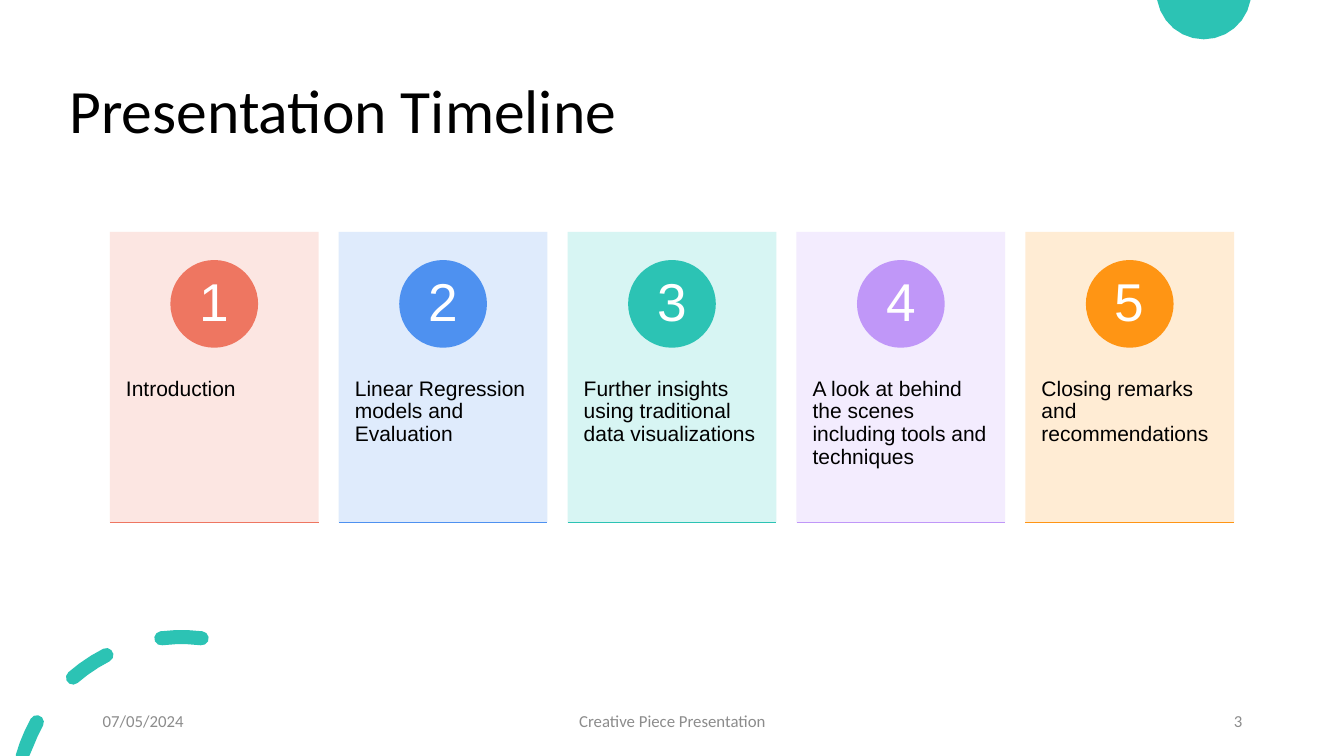
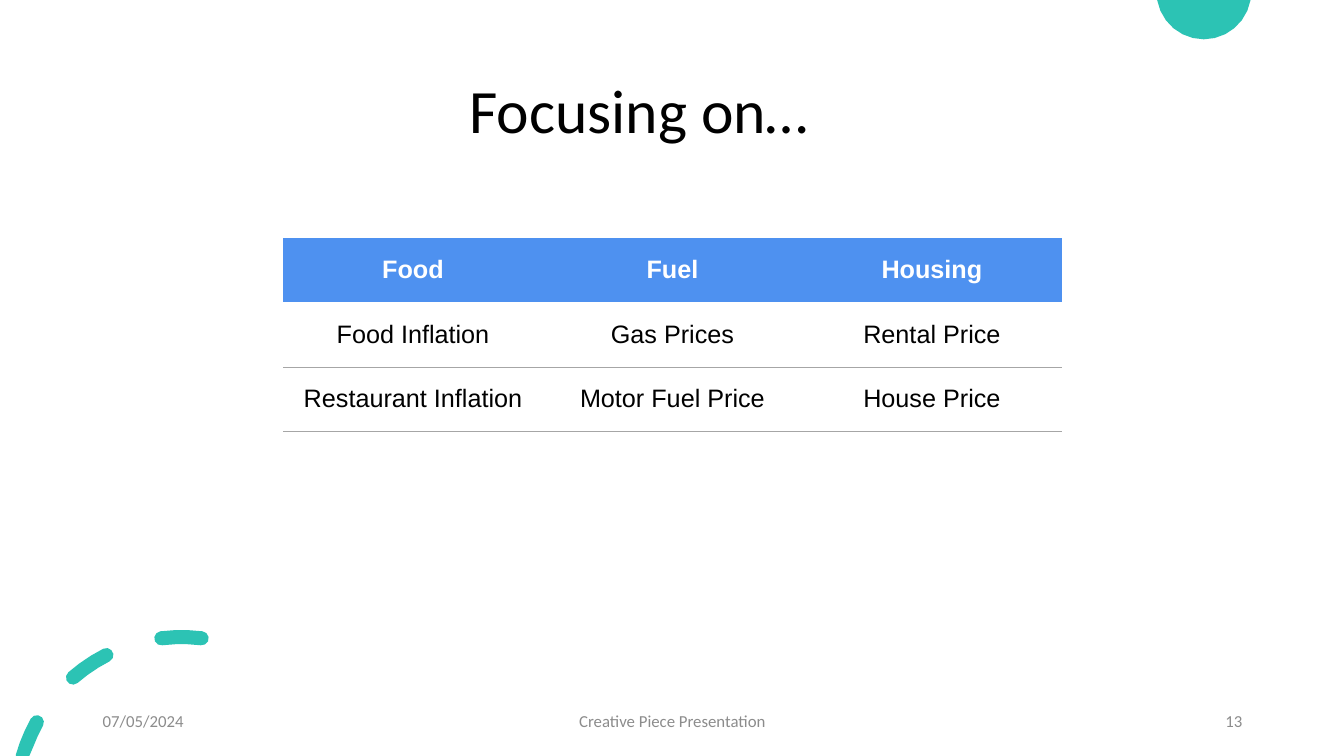
"""Build a presentation timeline slide and a focus-area table slide."""
from math import cos, radians, sin
from typing import NamedTuple

from lxml.etree import SubElement
from pptx import Presentation
from pptx.dml.color import RGBColor
from pptx.enum.shapes import MSO_CONNECTOR as Connector, MSO_SHAPE as Shape
from pptx.enum.text import MSO_ANCHOR as Anchor, MSO_AUTO_SIZE as AutoSize, PP_ALIGN as Align
from pptx.oxml import parse_xml
from pptx.oxml.ns import nsdecls, qn
from pptx.shapes.autoshape import Shape as DrawnShape
from pptx.slide import Slide
from pptx.text.text import TextFrame
from pptx.util import Emu, Pt

PX = 9144
SLIDE_W, SLIDE_H = 1333, 750
HEADING_FONT, BODY_FONT = "Calibri", "Arial"
NO_GRID_STYLE = "{2D5ABB26-0587-4C30-8999-92F81FD0307C}"
COLORS = {
    "black": "000000", "white": "FFFFFF", "footer": "8C8C8C", "rule": "A6A6A6",
    "coral": "EE7661", "coral_tint": "FCE4DF",
    "blue": "4E91F0", "blue_tint": "DCE9FC",
    "teal": "2CC3B4", "teal_tint": "D3F5F2",
    "violet": "C097F8", "violet_tint": "F2EAFE",
    "orange": "FF9514", "orange_tint": "FFEAD0",
}


class Box(NamedTuple):
    """A rectangle in px."""
    left: int
    top: int
    width: int
    height: int

    def emu(self) -> tuple[Emu, ...]:
        """Return the rectangle in EMU."""
        return tuple(Emu(length * PX) for length in self)


class TextStyle(NamedTuple):
    """How a piece of text looks."""
    size: int
    font: str = BODY_FONT
    color: str = "black"
    align: Align = Align.LEFT
    spacing: float = 1.0
    bold: bool = False


class Step(NamedTuple):
    """One stage of the timeline."""
    caption: str
    color: str


class FooterPart(NamedTuple):
    """One of the three footer fields."""
    text: str
    box: Box
    align: Align


TITLE_BOX = Box(59, 40, 1150, 145)
CARD, CARD_PITCH = Box(109, 230, 207, 288), 227
CAPTION_TOP, CAPTION_HEIGHT = 339, 173
BADGE_TOP, BADGE_SIZE = 258, 87
TABLE_BOX = Box(281, 236, 772, 192)
CAPTION_STYLE = TextStyle(15, spacing=0.9)
BADGE_STYLE = TextStyle(38, color="white", align=Align.CENTER, spacing=0.9)
HEADER_STYLE = TextStyle(18, color="white", align=Align.CENTER, bold=True)
CELL_STYLE = TextStyle(18, align=Align.CENTER)

STEPS = [
    Step("Introduction", "coral"),
    Step("Linear Regression models and Evaluation", "blue"),
    Step("Further insights\nusing traditional data visualizations", "teal"),
    Step("A look at behind the scenes including tools and techniques", "violet"),
    Step("Closing remarks and recommendations", "orange"),
]
FOCUS_ROWS = [
    ["Food", "Fuel", "Housing"],
    ["Food Inflation", "Gas Prices", "Rental Price"],
    ["Restaurant Inflation", "Motor Fuel Price", "House Price"],
]


def rgb(color: str) -> RGBColor:
    """Look up a named colour."""
    return RGBColor.from_string(COLORS[color])


def write(frame: TextFrame, text: str, style: TextStyle) -> None:
    """Fill a text frame with one formatted paragraph."""
    paragraph = frame.paragraphs[0]
    paragraph.text = text
    paragraph.alignment = style.align
    paragraph.line_spacing = style.spacing
    for run in paragraph.runs:
        run.font.size = Pt(style.size)
        run.font.name = style.font
        run.font.bold = style.bold
        run.font.color.rgb = rgb(style.color)


def set_insets(frame: TextFrame, across: int, down: int) -> None:
    """Set the inner margins of a text frame."""
    frame.margin_left = frame.margin_right = Emu(across * PX)
    frame.margin_top = frame.margin_bottom = Emu(down * PX)


def add_text(slide: Slide, box: Box, text: str, style: TextStyle,
             anchor: Anchor = Anchor.MIDDLE) -> TextFrame:
    """Add a wrapping text box of fixed size."""
    frame = slide.shapes.add_textbox(*box.emu()).text_frame
    frame.auto_size = AutoSize.NONE
    frame.word_wrap = True
    frame.vertical_anchor = anchor
    write(frame, text, style)
    return frame


def paint(shape: DrawnShape, color: str) -> None:
    """Give a shape a flat fill without outline or shadow."""
    shape.shadow.inherit = False
    shape.fill.solid()
    shape.fill.fore_color.rgb = rgb(color)
    shape.line.fill.background()


def arc(center: tuple[float, float], radius: int, start: float, end: float,
        steps: int) -> list[tuple[float, float]]:
    """Sample an arc, with angles in degrees clockwise from the top."""
    angles = [radians(start + (end - start) * i / steps) for i in range(steps + 1)]
    return [(center[0] + radius * sin(a), center[1] - radius * cos(a)) for a in angles]


def dash(start: float, end: float) -> list[tuple[float, float]]:
    """Outline a round-ended dash on the corner ring."""
    center, radius, half = (180, 796), 164, 7
    tail, head = arc(center, radius, start, end, 1)
    return (arc(center, radius + half, start, end, 3)
            + arc(head, half, end, end + 180, 5)[1:-1]
            + arc(center, radius - half, end, start, 3)
            + arc(tail, half, start + 180, start + 360, 5)[1:-1])


def add_outline(slide: Slide, contours: list[list[tuple[float, float]]]) -> DrawnShape:
    """Draw teal contours, cut off at the slide's top and bottom edges."""
    cut = [[(round(x * PX), round(min(max(y, 0), SLIDE_H) * PX)) for x, y in contour]
           for contour in contours]
    builder = slide.shapes.build_freeform(*cut[0][0])
    for index, contour in enumerate(cut):
        if index:
            builder.move_to(*contour[0])
        builder.add_line_segments(contour[1:], close=True)
    outline = builder.convert_to_shape()
    paint(outline, "teal")
    return outline


def decorate_layout(slide: Slide) -> None:
    """Put the corner decoration on the layout that the slides share."""
    layout = slide.slide_layout
    for placeholder in list(layout.placeholders):
        layout.shapes.element.remove(placeholder.element)
    corners = [
        add_outline(slide, [arc((1194, -8), 47, 100, 260, 12)]),
        add_outline(slide, [dash(-74, -61), dash(-41, -27), dash(-7, 7)]),
    ]
    for corner in corners:
        layout.shapes.element.append(corner.element)


def add_frame(deck, title: str, number: int, align: Align) -> Slide:
    """Add a slide with its title and footer."""
    slide = deck.slides.add_slide(deck.slide_layouts[6])
    add_text(slide, TITLE_BOX, title,
             TextStyle(44, HEADING_FONT, align=align, spacing=0.9))
    for part in (
        FooterPart("07/05/2024", Box(92, 695, 300, 40), Align.LEFT),
        FooterPart("Creative Piece Presentation", Box(442, 695, 450, 40), Align.CENTER),
        FooterPart(str(number), Box(942, 695, 300, 40), Align.RIGHT),
    ):
        add_text(slide, part.box, part.text,
                 TextStyle(12, HEADING_FONT, "footer", part.align))
    return slide


def add_step(slide: Slide, index: int, step: Step) -> None:
    """Draw one timeline card with its numbered badge."""
    box = CARD._replace(left=CARD.left + index * CARD_PITCH)
    card = slide.shapes.add_shape(Shape.RECTANGLE, *box.emu())
    paint(card, f"{step.color}_tint")
    tint = card.element.spPr.find(f"{qn('a:solidFill')}/{qn('a:srgbClr')}")
    SubElement(tint, qn("a:alpha"), val="90000")

    caption = add_text(slide, box._replace(top=CAPTION_TOP, height=CAPTION_HEIGHT),
                       step.caption, CAPTION_STYLE, Anchor.TOP)
    set_insets(caption, 16, 36)

    badge_box = Box(box.left + (box.width - BADGE_SIZE) // 2, BADGE_TOP,
                    BADGE_SIZE, BADGE_SIZE)
    badge = slide.shapes.add_shape(Shape.OVAL, *badge_box.emu())
    paint(badge, step.color)
    set_insets(badge.text_frame, 0, 0)
    badge.text_frame.vertical_anchor = Anchor.MIDDLE
    write(badge.text_frame, str(index + 1), BADGE_STYLE)

    left, top, width, height = box.emu()
    base = slide.shapes.add_connector(Connector.STRAIGHT, left, top + height,
                                      left + width, top + height)
    base.line.color.rgb = rgb(step.color)
    base.line.width = Pt(0.75)
    SubElement(base.element.spPr, qn("a:effectLst"))


def add_focus_table(slide: Slide) -> None:
    """Add the table of focus areas."""
    holder = slide.shapes.add_table(len(FOCUS_ROWS), len(FOCUS_ROWS[0]), *TABLE_BOX.emu())
    holder.element.find(f".//{qn('a:tableStyleId')}").text = NO_GRID_STYLE
    holder.table.horz_banding = False
    for r, row in enumerate(FOCUS_ROWS):
        for c, text in enumerate(row):
            cell = holder.table.cell(r, c)
            cell.vertical_anchor = Anchor.MIDDLE
            write(cell.text_frame, text, CELL_STYLE if r else HEADER_STYLE)
            if r:
                cell.fill.background()
                cell._tc.get_or_add_tcPr().insert(0, parse_xml(
                    f'<a:lnB {nsdecls("a")} w="{Pt(0.25)}"><a:solidFill>'
                    f'<a:srgbClr val="{COLORS["rule"]}"/></a:solidFill></a:lnB>'))
            else:
                cell.fill.solid()
                cell.fill.fore_color.rgb = rgb("blue")


def main() -> None:
    """Build and save the deck."""
    deck = Presentation()
    deck.slide_width, deck.slide_height = Emu(SLIDE_W * PX), Emu(SLIDE_H * PX)
    timeline = add_frame(deck, "Presentation Timeline", 3, Align.LEFT)
    decorate_layout(timeline)
    for index, step in enumerate(STEPS):
        add_step(timeline, index, step)
    add_focus_table(add_frame(deck, "Focusing on…", 13, Align.CENTER))
    deck.save("out.pptx")


if __name__ == "__main__":
    main()
